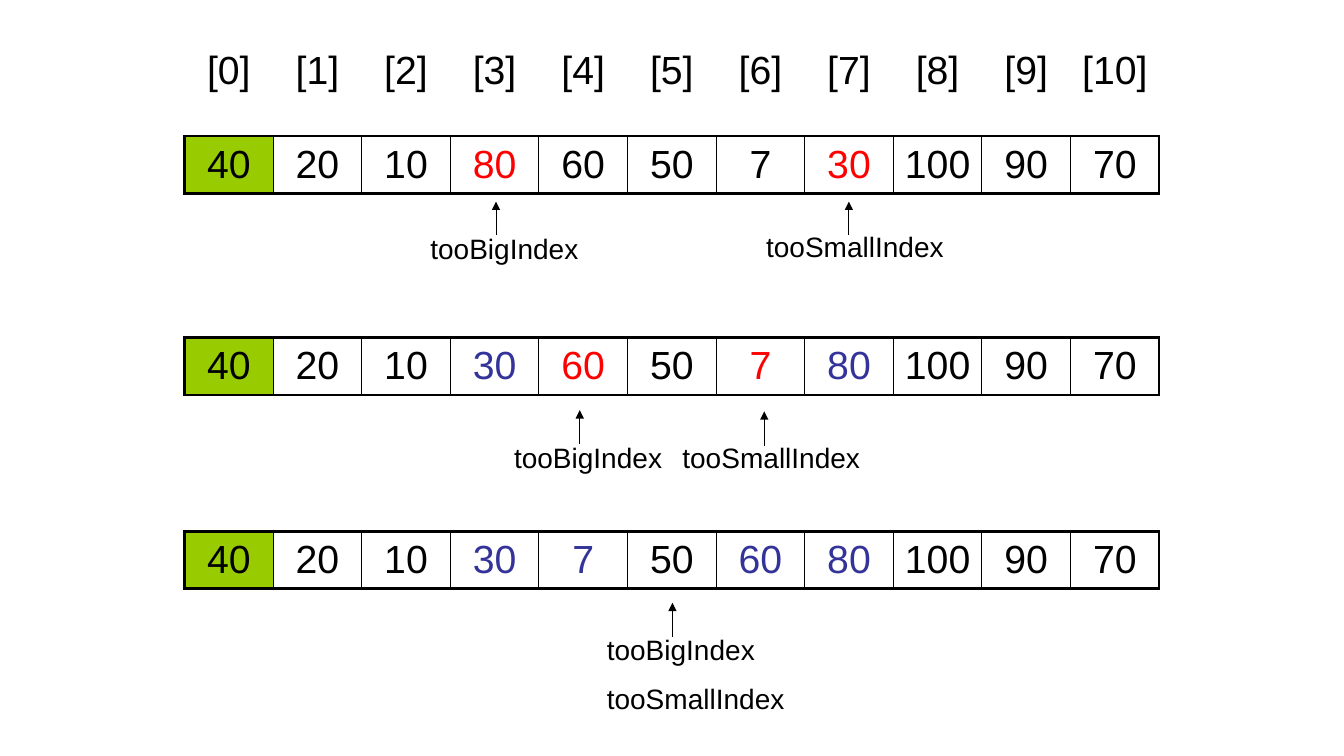
from dataclasses import dataclass

from lxml import etree
from pptx import Presentation
from pptx.dml.color import RGBColor
from pptx.enum import shapes, text
from pptx.oxml import ns
from pptx.util import Inches, Pt

HUES = {"ink": "000000", "pivot": "99CC00", "swap": "FF0000", "done": "333399"}
FONT = "Arial"
LEFT, WIDTH, HIGH, COUNT = 1.83, 9.67, 0.57, 11
NO_GRID = "{2D5ABB26-0587-4C30-8999-92F81FD0307C}"


@dataclass
class Row:
    top: float
    items: list[str]
    hues: dict[int, str]
    boxed: bool = True


@dataclass
class Label:
    left: float
    top: float
    width: float
    high: float
    lines: list[str]


@dataclass
class Arrow:
    x: float
    top: float
    base: float


ROWS = [
    Row(0.42, [f"[{i}]" for i in range(COUNT)], {}, boxed=False),
    Row(1.35, "40 20 10 80 60 50 7 30 100 90 70".split(),
        {3: "swap", 7: "swap"}),
    Row(3.35, "40 20 10 30 60 50 7 80 100 90 70".split(),
        {3: "done", 4: "swap", 6: "swap", 7: "done"}),
    Row(5.27, "40 20 10 30 7 50 60 80 100 90 70".split(),
        {3: "done", 4: "done", 6: "done", 7: "done"}),
]
BIG, SMALL = "tooBigIndex", "tooSmallIndex"
LABELS = [
    Label(4.17, 2.25, 2, 0.43, [BIG]),
    Label(7.5, 2.23, 2.33, 0.43, [SMALL]),
    Label(5, 4.32, 2, 0.43, [BIG]),
    Label(6.67, 4.32, 2.33, 0.43, [SMALL]),
    Label(5.92, 6.23, 2, 0.93, [BIG, SMALL]),
]
ARROWS = [
    Arrow(4.92, 2, 2.33),
    Arrow(8.42, 2, 2.33),
    Arrow(5.75, 4.07, 4.4),
    Arrow(7.58, 4.08, 4.42),
    Arrow(6.67, 5.98, 6.32),
]


def add_run(para, words: str, size: float, hue: str = "ink") -> None:
    run = para.add_run()
    run.text = words
    run.font.name = FONT
    run.font.size = Pt(size)
    run.font.color.rgb = RGBColor.from_string(HUES[hue])


def add_edge(cell, side: str, width: float) -> None:
    props = cell._tc.get_or_add_tcPr()
    line = etree.SubElement(props, ns.qn(f"a:ln{side}"), w=str(Pt(width)))
    fill = etree.SubElement(line, ns.qn("a:solidFill"))
    etree.SubElement(fill, ns.qn("a:srgbClr"), val=HUES["ink"])


def add_row(slide, row: Row) -> None:
    frame = slide.shapes.add_table(1, COUNT, Inches(LEFT), Inches(row.top),
                                   Inches(WIDTH), Inches(HIGH))
    table = frame.table
    table.first_row = table.horz_banding = False
    table._tbl.tblPr.find(ns.qn("a:tableStyleId")).text = NO_GRID
    for i, words in enumerate(row.items):
        table.columns[i].width = Inches(WIDTH / COUNT)
        cell = table.cell(0, i)
        cell.vertical_anchor = text.MSO_ANCHOR.MIDDLE
        para = cell.text_frame.paragraphs[0]
        para.alignment = text.PP_ALIGN.CENTER
        add_run(para, words, 28, row.hues.get(i, "ink"))
        # Thick outer frame, thin inner dividers
        if row.boxed:
            add_edge(cell, "L", 2.25 if i == 0 else 1)
            add_edge(cell, "R", 2.25 if i == COUNT - 1 else 1)
            add_edge(cell, "T", 2.25)
            add_edge(cell, "B", 2.25)
        # The pivot comes first
        if row.boxed and i == 0:
            cell.fill.solid()
            cell.fill.fore_color.rgb = RGBColor.from_string(HUES["pivot"])
        else:
            cell.fill.background()


def add_label(slide, label: Label) -> None:
    box = slide.shapes.add_textbox(Inches(label.left), Inches(label.top),
                                   Inches(label.width), Inches(label.high))
    frame = box.text_frame
    frame.word_wrap = True
    for i, words in enumerate(label.lines):
        para = frame.add_paragraph() if i else frame.paragraphs[0]
        if i:
            para.space_before = Pt(10.5)
        add_run(para, words, 20)


def add_arrow(slide, arrow: Arrow) -> None:
    line = slide.shapes.add_connector(
        shapes.MSO_CONNECTOR.STRAIGHT, Inches(arrow.x), Inches(arrow.base),
        Inches(arrow.x), Inches(arrow.top))
    line.line.width = Pt(0.75)
    line.line.color.rgb = RGBColor.from_string(HUES["ink"])
    etree.SubElement(line.line._get_or_add_ln(), ns.qn("a:tailEnd"),
                     type="triangle")
    etree.SubElement(line._element.spPr, ns.qn("a:effectLst"))


def main() -> None:
    deck = Presentation()
    deck.slide_width, deck.slide_height = Inches(13.33), Inches(7.5)
    slide = deck.slides.add_slide(deck.slide_layouts[6])
    # Indices and the array at each step
    for row in ROWS:
        add_row(slide, row)
    # Index markers
    for label in LABELS:
        add_label(slide, label)
    for arrow in ARROWS:
        add_arrow(slide, arrow)
    deck.save("out.pptx")


if __name__ == "__main__":
    main()
